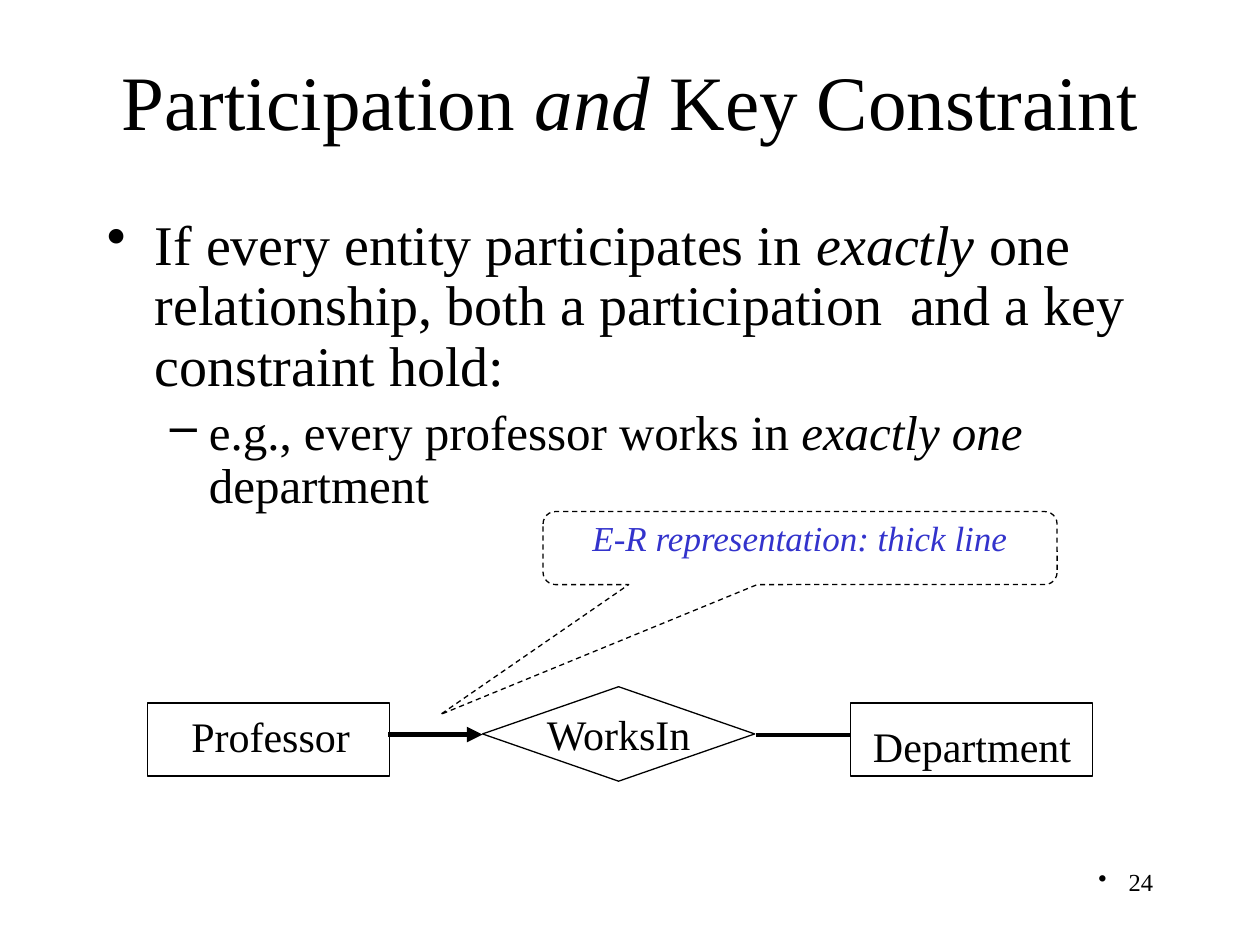
"""Build the slide on combined participation and key constraints."""
from dataclasses import dataclass

from lxml import etree
from pptx import Presentation
from pptx.dml.color import RGBColor
from pptx.enum.dml import MSO_LINE
from pptx.enum.shapes import MSO_CONNECTOR, MSO_SHAPE
from pptx.enum.text import MSO_ANCHOR, PP_ALIGN
from pptx.oxml.ns import qn
from pptx.util import Pt

PX = 9144
BLACK, BLUE = "000000", "3333CC"
FONT = "Times New Roman"
LEFT, CENTER, RIGHT = PP_ALIGN.LEFT, PP_ALIGN.CENTER, PP_ALIGN.RIGHT
TOP, MIDDLE = MSO_ANCHOR.TOP, MSO_ANCHOR.MIDDLE
RECTANGLE, DIAMOND = MSO_SHAPE.RECTANGLE, MSO_SHAPE.DIAMOND
CALLOUT = MSO_SHAPE.ROUNDED_RECTANGULAR_CALLOUT
STRAIGHT, DASH = MSO_CONNECTOR.STRAIGHT, MSO_LINE.DASH


@dataclass(frozen=True)
class Box:
    left: int
    top: int
    width: int
    height: int

    def emu(self) -> list[int]:
        return [n * PX for n in (self.left, self.top, self.width, self.height)]


@dataclass(frozen=True)
class Passage:
    """A paragraph whose phrases alternate between upright and italic."""
    phrases: tuple[str, ...]
    size: int
    align: PP_ALIGN = LEFT
    color: str = BLACK
    bullet: str = ""
    level: int = 0
    margin: int = 0
    hanging: int = 0
    spacing: float = 1.0
    before: float = 0


@dataclass(frozen=True)
class Label:
    box: Box
    passages: tuple[Passage, ...]
    wrap: bool = True


@dataclass(frozen=True)
class Node:
    kind: MSO_SHAPE
    box: Box
    passages: tuple[Passage, ...] = ()
    anchor: MSO_ANCHOR = TOP
    wrap: bool = True
    dash: MSO_LINE | None = None
    adjustments: tuple[float, ...] = ()


@dataclass(frozen=True)
class Link:
    start: int
    end: int
    y: int
    weight: float
    arrow: bool = False


TITLE_BOX = Box(75, 33, 850, 92)
TITLE = Passage(("Participation ", "and", " Key Constraint"), 44, CENTER)

LABELS = (
    Label(Box(717, 683, 208, 50),
          (Passage(("24",), 14, RIGHT, bullet="•", margin=24, hanging=24),)),
    Label(Box(75, 167, 850, 275), (
        Passage(("If every entity participates in ", "exactly",
                 " one relationship, both a participation  and a key constraint hold:"),
                32, bullet="•", margin=38, hanging=38, spacing=0.9, before=6.4),
        Passage(("e.g., every professor works in ", "exactly one", " department"),
                28, bullet="–", level=1, margin=81, hanging=31, spacing=0.9, before=5.6),
    )),
    Label(Box(142, 559, 146, 50), (Passage(("Professor",), 24),), wrap=False),
    Label(Box(683, 567, 177, 50), (Passage(("Department",), 24),), wrap=False),
)

NODES = (
    Node(RECTANGLE, Box(117, 558, 192, 58)),
    Node(RECTANGLE, Box(675, 558, 192, 58)),
    Node(DIAMOND, Box(383, 545, 216, 75), (Passage(("WorksIn",), 24, CENTER),),
         anchor=MIDDLE, wrap=False),
    Node(CALLOUT, Box(431, 406, 408, 58),
         (Passage(("", "E-R representation: thick line"), 20, CENTER, BLUE,
                  spacing=0.9, before=4),),
         dash=DASH, adjustments=(-0.7, 2.28, 0.17)),
)

LINKS = (Link(600, 675, 583, 2.25), Link(308, 383, 583, 3, arrow=True))


def rgb(color: str) -> RGBColor:
    return RGBColor.from_string(color)


def apply(target: object, values: dict) -> None:
    for name, value in values.items():
        setattr(target, name, value)


def write(frame, passages: tuple[Passage, ...], anchor: MSO_ANCHOR, wrap: bool) -> None:
    apply(frame, {"word_wrap": wrap, "vertical_anchor": anchor})
    for index, passage in enumerate(passages):
        paragraph = frame.paragraphs[0] if index == 0 else frame.add_paragraph()
        apply(paragraph, {"alignment": passage.align, "level": passage.level,
                          "line_spacing": passage.spacing,
                          "space_before": Pt(passage.before)})
        if passage.bullet:
            properties = paragraph._p.get_or_add_pPr()
            properties.set("marL", str(passage.margin * PX))
            properties.set("indent", str(-passage.hanging * PX))
            etree.SubElement(properties, qn("a:buChar"), char=passage.bullet)
        for position, words in enumerate(passage.phrases):
            if words:
                run = paragraph.add_run()
                run.text = words
                apply(run.font, {"name": FONT, "size": Pt(passage.size),
                                 "bold": False, "italic": position % 2 == 1})
                run.font.color.rgb = rgb(passage.color)


def draw_label(slide, label: Label) -> None:
    write(slide.shapes.add_textbox(*label.box.emu()).text_frame,
          label.passages, TOP, label.wrap)


def draw_node(slide, node: Node) -> None:
    outline = slide.shapes.add_shape(node.kind, *node.box.emu())
    outline.shadow.inherit = False
    outline.fill.background()
    outline.line.color.rgb = rgb(BLACK)
    apply(outline.line, {"width": Pt(0.75), "dash_style": node.dash})
    for index, value in enumerate(node.adjustments):
        outline.adjustments[index] = value
    write(outline.text_frame, node.passages, node.anchor, node.wrap)


def draw_link(slide, link: Link) -> None:
    connector = slide.shapes.add_connector(
        STRAIGHT, *(n * PX for n in (link.start, link.y, link.end, link.y)))
    connector.line.color.rgb = rgb(BLACK)
    connector.line.width = Pt(link.weight)
    if link.arrow:
        etree.SubElement(connector.line._get_or_add_ln(), qn("a:tailEnd"), type="triangle")
    etree.SubElement(connector._element.spPr, qn("a:effectLst"))


def main() -> None:
    deck = Presentation()
    apply(deck, {"slide_width": 1000 * PX, "slide_height": 750 * PX})
    slide = deck.slides.add_slide(deck.slide_layouts[5])
    title = slide.shapes.title
    apply(title, dict(zip(("left", "top", "width", "height"), TITLE_BOX.emu())))
    write(title.text_frame, (TITLE,), MIDDLE, True)
    for label in LABELS:
        draw_label(slide, label)
    for node in NODES:
        draw_node(slide, node)
    for link in LINKS:
        draw_link(slide, link)
    deck.save("out.pptx")


if __name__ == "__main__":
    main()
